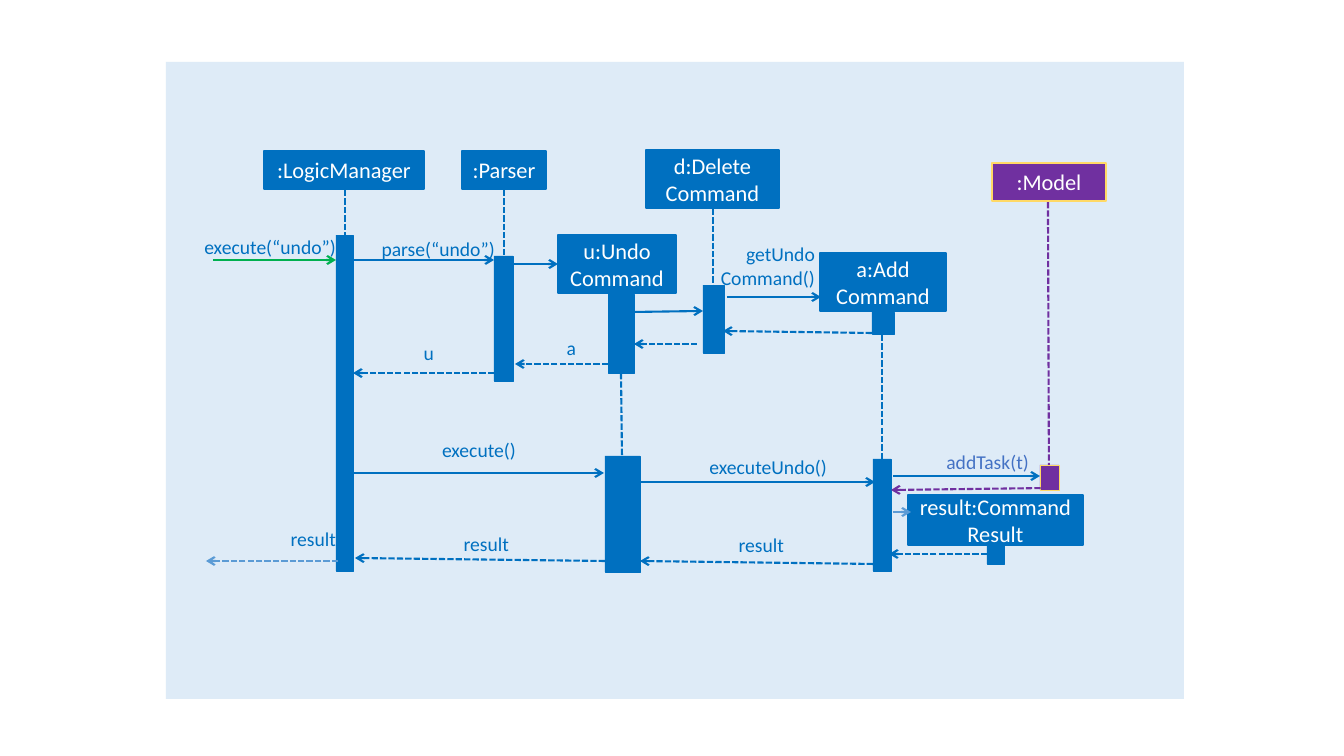
"""Build a sequence diagram slide of the undo command."""
from typing import NamedTuple

import lxml.etree
import pptx
import pptx.dml.color
import pptx.enum.dml
import pptx.enum.shapes
import pptx.enum.text
import pptx.oxml.ns
import pptx.util

SCALE = 914400 / 100.8
BLUE, PURPLE, GOLD = "0070C0", "7030A0", "FFD966"
GREEN, PALE, SKY, INDIGO, WHITE = "00B050", "DEEBF7", "5B9BD5", "4472C4", "FFFFFF"
ALIGN = pptx.enum.text.PP_ALIGN
ANCHOR = pptx.enum.text.MSO_ANCHOR


class Box(NamedTuple):
    x: int
    y: int
    w: int
    h: int
    text: str = ""
    fill: str = BLUE
    line: str = BLUE


class Label(NamedTuple):
    x: int
    y: int
    w: int
    text: str
    h: int = 24
    color: str = BLUE


class Line(NamedTuple):
    x1: int
    y1: int
    x2: int
    y2: int
    color: str = BLUE


HEADS = [
    Box(264, 151, 160, 38, ":LogicManager"),
    Box(462, 151, 84, 38, ":Parser"),
    Box(558, 235, 118, 58, "u:Undo\nCommand"),
    Box(646, 150, 133, 58, "d:Delete\nCommand"),
    Box(820, 253, 126, 58, "a:Add\nCommand"),
    Box(992, 163, 114, 38, ":Model", PURPLE, GOLD),
    Box(908, 495, 175, 50, "result:Command Result"),
]
ACTIVATIONS = [
    Box(336, 235, 17, 336),
    Box(494, 256, 19, 125),
    Box(608, 294, 26, 79),
    Box(605, 456, 35, 116),
    Box(703, 285, 21, 68),
    Box(872, 312, 22, 22),
    Box(873, 459, 18, 112),
    Box(1040, 465, 19, 25, "", PURPLE, GOLD),
    Box(987, 545, 17, 19),
]
LIFELINES = [
    Line(345, 190, 345, 235),
    Line(504, 190, 504, 256),
    Line(621, 373, 622, 456),
    Line(713, 209, 713, 285),
    Line(882, 335, 882, 459),
    Line(1048, 202, 1049, 484, PURPLE),
]
CALLS = [
    Line(213, 260, 336, 260, GREEN),
    Line(353, 260, 494, 260),
    Line(514, 264, 558, 264),
    Line(634, 312, 703, 311),
    Line(727, 297, 821, 297),
    Line(353, 473, 604, 473),
    Line(634, 482, 875, 482),
    Line(893, 476, 1040, 476),
    Line(893, 512, 911, 512, SKY),
]
RETURNS = [
    Line(872, 333, 723, 331),
    Line(697, 344, 634, 344),
    Line(608, 364, 515, 364),
    Line(494, 373, 353, 373),
    Line(1049, 488, 891, 490, PURPLE),
    Line(987, 554, 889, 554),
    Line(873, 564, 640, 561),
    Line(605, 561, 355, 558),
    Line(338, 561, 206, 561, SKY),
]
LABELS = [
    Label(202, 235, 134, "execute(“undo”)"),
    Label(338, 237, 157, "parse(“undo”)"),
    Label(692, 242, 123, "getUndo\nCommand()", 47),
    Label(552, 336, 24, "a"),
    Label(410, 341, 24, "u"),
    Label(424, 438, 92, "execute()"),
    Label(704, 455, 123, "executeUndo()"),
    Label(872, 450, 157, "addTask(t)", color=INDIGO),
    Label(252, 527, 84, "result"),
    Label(440, 532, 69, "result"),
    Label(720, 533, 64, "result"),
]


def px(n: int) -> int:
    return round(n * SCALE)


def rgb(color: str) -> pptx.dml.color.RGBColor:
    return pptx.dml.color.RGBColor.from_string(color)


def write(tf, text: str, *, size: int, color: str, align, anchor) -> None:
    tf.word_wrap = True
    tf.vertical_anchor = anchor
    for i, part in enumerate(text.split("\n")):
        p = tf.add_paragraph() if i else tf.paragraphs[0]
        p.alignment = align
        r = p.add_run()
        r.text = part
        r.font.name = "Calibri"
        r.font.size = pptx.util.Pt(size)
        r.font.color.rgb = rgb(color)


def draw_box(s, box: Box, width: float = 0) -> None:
    sp = s.shapes.add_shape(pptx.enum.shapes.MSO_SHAPE.RECTANGLE, *map(px, box[:4]))
    sp.shadow.inherit = False
    sp.fill.solid()
    sp.fill.fore_color.rgb = rgb(box.fill)
    if width:
        sp.line.color.rgb = rgb(box.line)
        sp.line.width = pptx.util.Pt(width)
    else:
        sp.line.fill.background()
    if box.text:
        write(sp.text_frame, box.text, size=16, color=WHITE,
              align=ALIGN.CENTER, anchor=ANCHOR.MIDDLE)


def draw_label(s, label: Label) -> None:
    tf = s.shapes.add_textbox(*map(px, (label.x, label.y, label.w, label.h))).text_frame
    tf.margin_left = tf.margin_right = tf.margin_top = tf.margin_bottom = 0
    write(tf, label.text, size=14, color=label.color,
          align=ALIGN.RIGHT, anchor=ANCHOR.TOP)


def draw_line(s, line: Line, dashed: bool = False, arrow: bool = True) -> None:
    cxn = s.shapes.add_connector(pptx.enum.shapes.MSO_CONNECTOR.STRAIGHT, *map(px, line[:4]))
    cxn.line.color.rgb = rgb(line.color)
    cxn.line.width = pptx.util.Pt(1.5)
    if dashed:
        cxn.line.dash_style = pptx.enum.dml.MSO_LINE.SQUARE_DOT
    qn = pptx.oxml.ns.qn
    sppr = cxn._element.spPr
    if arrow:
        lxml.etree.SubElement(sppr.find(qn("a:ln")), qn("a:tailEnd"), type="arrow")
    lxml.etree.SubElement(sppr, qn("a:effectLst"))


prs = pptx.Presentation()
prs.slide_width, prs.slide_height = px(1344), px(756)
s = prs.slides.add_slide(prs.slide_layouts[6])
draw_box(s, Box(166, 62, 1018, 637, fill=PALE))
for lifeline in LIFELINES:
    draw_line(s, lifeline, dashed=True, arrow=False)
for head in HEADS:
    draw_box(s, head, 1.5)
for activation in ACTIVATIONS:
    draw_box(s, activation, 0.5)
for call in CALLS:
    draw_line(s, call)
for reply in RETURNS:
    draw_line(s, reply, dashed=True)
for label in LABELS:
    draw_label(s, label)
prs.save("out.pptx")
